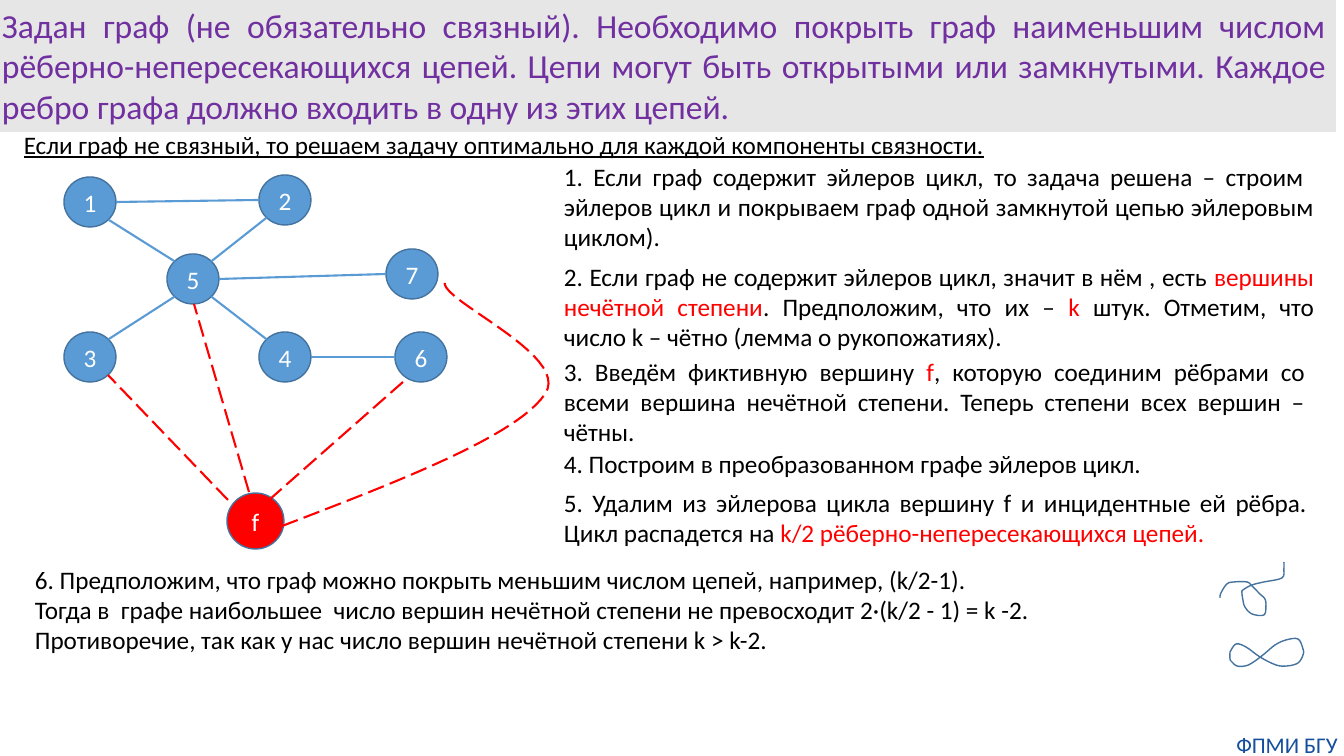
from dataclasses import dataclass
from itertools import pairwise
from math import cos, radians, sin
from typing import Any

from lxml import etree
from pptx import Presentation
from pptx.dml.color import RGBColor
from pptx.dml.line import LineFormat
from pptx.enum.dml import MSO_LINE
from pptx.enum.shapes import MSO_CONNECTOR, MSO_SHAPE
from pptx.enum.text import MSO_ANCHOR, MSO_AUTO_SIZE, PP_ALIGN
from pptx.oxml.ns import qn
from pptx.slide import Slide
from pptx.text.text import TextFrame
from pptx.util import Emu, Pt

OVAL, RECTANGLE, STRAIGHT = MSO_SHAPE.OVAL, MSO_SHAPE.RECTANGLE, MSO_CONNECTOR.STRAIGHT
LEFT, CENTER, JUSTIFY = PP_ALIGN.LEFT, PP_ALIGN.CENTER, PP_ALIGN.JUSTIFY
TOP, MIDDLE = MSO_ANCHOR.TOP, MSO_ANCHOR.MIDDLE
GROW, LONG_DASH = MSO_AUTO_SIZE.SHAPE_TO_FIT_TEXT, MSO_LINE.LONG_DASH

EMU_PER_PIXEL = 914400 / 100.8
BLUE, DARK_BLUE, RED, BLACK, WHITE = "5B9BD5", "43739E", "FF0000", "000000", "FFFFFF"
DIRECTIONS = {"E": 0, "SE": 45, "SW": 135, "W": 180, "NW": 225, "NE": 315}
NO_MARGINS = dict.fromkeys(("margin_left", "margin_right", "margin_top", "margin_bottom"), 0)

Point = tuple[float, float]
Curve = tuple[Point, Point, Point, Point]


@dataclass(frozen=True)
class Vertex:
    """A numbered graph vertex."""
    left: int
    top: int
    width: int = 52
    height: int = 50
    color: str = BLUE

    def rim(self, direction: str) -> Point:
        """Return the point of the outline that lies in a compass direction."""
        angle = radians(DIRECTIONS[direction])
        return (self.left + self.width / 2 * (1 + cos(angle)),
                self.top + self.height / 2 * (1 + sin(angle)))


@dataclass(frozen=True)
class Edge:
    """A graph edge between the rims of two vertices."""
    start: str
    start_side: str
    end: str
    end_side: str


@dataclass(frozen=True)
class Span:
    """A piece of text in one colour."""
    text: str
    color: str = BLACK


@dataclass(frozen=True)
class Note:
    """A text box with its paragraphs."""
    left: int
    top: int
    width: int
    height: int
    paragraphs: list[list[Span]]
    align: PP_ALIGN = JUSTIFY
    size: int = 18
    underline: bool = False


VERTICES = {
    "1": Vertex(64, 177), "2": Vertex(259, 175), "3": Vertex(64, 332),
    "4": Vertex(259, 332), "5": Vertex(167, 254), "6": Vertex(395, 332),
    "7": Vertex(386, 249), "f": Vertex(227, 493, 57, 56, RED),
}
EDGES = [
    Edge("1", "SE", "5", "NW"), Edge("2", "SW", "5", "NE"), Edge("1", "E", "2", "W"),
    Edge("5", "SW", "3", "NE"), Edge("5", "SE", "4", "NW"), Edge("4", "E", "6", "W"),
    Edge("5", "E", "7", "W"),
]
FICTIVE_EDGES = [((228, 500), (108, 375)), ((249, 492), (194, 304)), ((269, 500), (403, 382))]
FICTIVE_ARC = [((282, 526), (400, 481), (518, 435), (545, 394)),
               ((545, 394), (573, 354), (429, 296), (446, 280))]
OPEN_CHAIN = [
    (1220, 598), (1221, 593), (1227, 584), (1234, 582), (1247, 582), (1252, 586), (1260, 594),
    (1265, 599), (1266, 606), (1264, 615), (1252, 614), (1245, 607), (1243, 600), (1242, 593),
    (1243, 590), (1252, 585), (1264, 582), (1282, 578), (1284, 569), (1284, 562),
]
CLOSED_CHAIN = [
    (1230, 652), (1236, 644), (1246, 647), (1260, 657), (1276, 665), (1287, 666), (1298, 663),
    (1303, 655), (1303, 649), (1298, 639), (1286, 640), (1275, 645), (1263, 655), (1252, 663),
    (1245, 666), (1237, 666), (1232, 662), (1230, 659), (1230, 652),
]
TASK = [[Span("Задан граф (не обязательно связный). Необходимо покрыть граф наименьшим числом "
              "рёберно-непересекающихся цепей. Цепи могут быть открытыми или замкнутыми. "
              "Каждое ребро графа должно входить в одну из этих цепей.", "7030A0")]]
NOTES = [
    Note(14, 124, 984, 40, [[Span("Если граф не связный, то решаем задачу оптимально для каждой "
                                  "компоненты связности.")]], LEFT, underline=True),
    Note(554, 156, 770, 102, [[
        Span("1. Если граф содержит эйлеров цикл, то задача решена – строим  эйлеров цикл и "
             "покрываем граф одной замкнутой цепью эйлеровым циклом).")]]),
    Note(554, 256, 770, 102, [[
        Span("2. Если граф не содержит эйлеров цикл, значит в нём , есть "),
        Span("вершины нечётной степени", RED), Span(". Предположим, что их – "),
        Span("k ", RED), Span("штук. Отметим, что число k – чётно (лемма о рукопожатиях).")]]),
    Note(554, 351, 761, 102, [[
        Span("3. Введём фиктивную вершину "), Span("f", RED),
        Span(", которую соединим рёбрами со всеми вершина нечётной степени. "
             "Теперь степени всех вершин – чётны.")]]),
    Note(554, 443, 605, 40, [[Span("4. Построим в преобразованном графе эйлеров цикл.")]]),
    Note(554, 482, 763, 72, [[
        Span("5. Удалим из эйлерова цикла вершину f и инцидентные ей рёбра. Цикл распадется на "),
        Span("k/2 рёберно-непересекающихся цепей.", RED)]]),
    Note(25, 559, 1090, 102, [
        [Span("6. Предположим, что граф можно покрыть меньшим числом цепей, например, (k/2-1).")],
        [Span("Тогда в  графе наибольшее  число вершин нечётной степени не превосходит "
              "2·(k/2 - 1) = k -2.")],
        [Span("Противоречие, так как у нас число вершин нечётной степени k > k-2.")]]),
]
FOOTER = Note(1230, 731, 114, 27, [[Span("ФПМИ БГУ", "144E9D")]], CENTER, 16)


def px(length: float) -> Emu:
    """Turn picture pixels into EMU."""
    return Emu(round(length * EMU_PER_PIXEL))


def rgb(color: str) -> RGBColor:
    """Turn a hex string into a colour."""
    return RGBColor.from_string(color)


def apply(target: Any, values: dict[str, Any]) -> None:
    """Set every attribute listed in a dict of format values."""
    for name, value in values.items():
        setattr(target, name, value)


def style_line(line: LineFormat, color: str, width: float, dashed: bool = False) -> None:
    """Give a line its colour, width and dash."""
    line.color.rgb = rgb(color)
    apply(line, {"width": Pt(width), "dash_style": LONG_DASH if dashed else None})


def write(frame: TextFrame, paragraphs: list[list[Span]], align: PP_ALIGN, size: int,
          underline: bool = False, **layout: Any) -> None:
    """Fill a text frame with coloured spans."""
    apply(frame, {"word_wrap": True, "vertical_anchor": TOP} | layout)
    for index, spans in enumerate(paragraphs):
        para = frame.add_paragraph() if index else frame.paragraphs[0]
        para.alignment = align
        for span in spans:
            run = para.add_run()
            run.text = span.text
            apply(run.font, {"name": "Calibri", "size": Pt(size), "underline": underline or None})
            run.font.color.rgb = rgb(span.color)


def add_vertex(page: Slide, label: str, vertex: Vertex) -> None:
    """Draw a vertex with its label."""
    oval = page.shapes.add_shape(
        OVAL, *map(px, (vertex.left, vertex.top, vertex.width, vertex.height)))
    oval.shadow.inherit = False
    oval.fill.solid()
    oval.fill.fore_color.rgb = rgb(vertex.color)
    style_line(oval.line, DARK_BLUE, 1)
    write(oval.text_frame, [[Span(label, WHITE)]], CENTER, 18, vertical_anchor=MIDDLE)


def add_edge(page: Slide, start: Point, end: Point, color: str, dashed: bool = False) -> None:
    """Draw a straight edge."""
    edge = page.shapes.add_connector(STRAIGHT, *map(px, (*start, *end)))
    style_line(edge.line, color, 1.5, dashed)
    etree.SubElement(edge._element.spPr, qn("a:effectLst"))


def through(points: list[Point]) -> list[Curve]:
    """Return smooth curves that pass through all points."""
    padded = [points[0], *points, points[-1]]
    return [(b, (b[0] + (c[0] - a[0]) / 6, b[1] + (c[1] - a[1]) / 6),
             (c[0] - (d[0] - b[0]) / 6, c[1] - (d[1] - b[1]) / 6), c)
            for a, b, c, d in zip(padded, padded[1:], padded[2:], padded[3:])]


def sample(curve: Curve, steps: int) -> list[Point]:
    """Return points along a cubic curve, without its start."""
    def blend(values: tuple[float, ...], t: float) -> float:
        """Reduce control values to the value at t."""
        while len(values) > 1:
            values = tuple(a + (b - a) * t for a, b in pairwise(values))
        return values[0]
    xs, ys = zip(*curve)
    return [(blend(xs, i / steps), blend(ys, i / steps)) for i in range(1, steps + 1)]


def add_curve(page: Slide, curves: list[Curve], steps: int, color: str, width: float,
              dashed: bool = False) -> None:
    """Draw joined cubic curves as one open outline."""
    points = [(px(x), px(y)) for curve in curves for x, y in sample(curve, steps)]
    builder = page.shapes.build_freeform(*map(px, curves[0][0]), scale=1.0)
    builder.add_line_segments(points, close=False)
    outline = builder.convert_to_shape()
    outline.shadow.inherit = False
    outline.fill.background()
    style_line(outline.line, color, width, dashed)


def add_note(page: Slide, note: Note, **layout: Any) -> None:
    """Draw a text box."""
    box = page.shapes.add_textbox(*map(px, (note.left, note.top, note.width, note.height)))
    write(box.text_frame, note.paragraphs, note.align, note.size, note.underline,
          auto_size=GROW, **layout)


def add_banner(page: Slide) -> None:
    """Draw the grey band with the task."""
    band = page.shapes.add_shape(RECTANGLE, *map(px, (-8, 0, 1344, 132)))
    band.shadow.inherit = False
    band.fill.solid()
    band.fill.fore_color.rgb = rgb("E7E6E6")
    band.line.fill.background()
    write(band.text_frame, TASK, JUSTIFY, 24, auto_size=GROW)


deck = Presentation()
apply(deck, {"slide_width": px(1344), "slide_height": px(756)})
page = deck.slides.add_slide(deck.slide_layouts[6])
for label, vertex in VERTICES.items():
    add_vertex(page, label, vertex)
for edge in EDGES:
    add_edge(page, VERTICES[edge.start].rim(edge.start_side),
             VERTICES[edge.end].rim(edge.end_side), BLUE)
for start, end in FICTIVE_EDGES:
    add_edge(page, start, end, RED, dashed=True)
add_curve(page, FICTIVE_ARC, 24, RED, 1.5, dashed=True)
add_banner(page)
for note in NOTES:
    add_note(page, note)
add_note(page, FOOTER, **NO_MARGINS)
for chain in (OPEN_CHAIN, CLOSED_CHAIN):
    add_curve(page, through(chain), 4, DARK_BLUE, 1)
deck.save("out.pptx")
